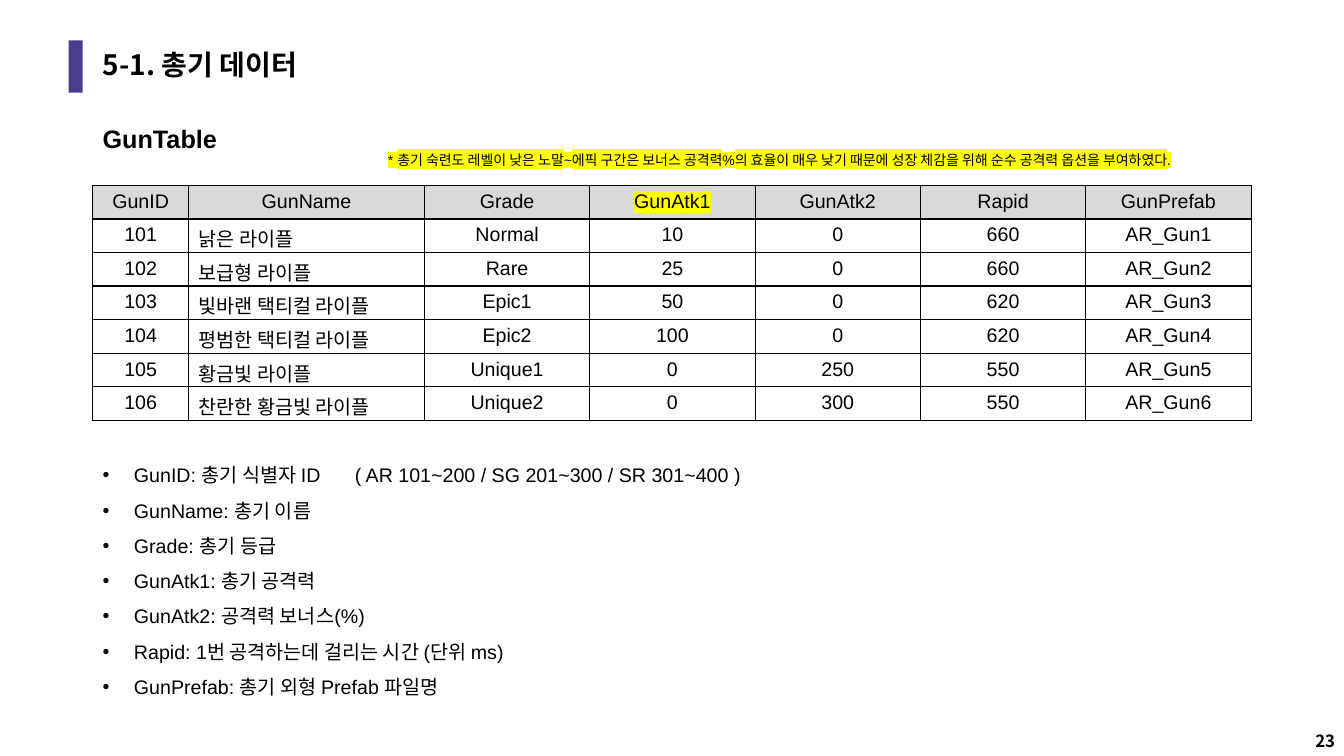
import pptx
import pptx.dml.color
import pptx.enum.shapes
import pptx.enum.text
import pptx.oxml.ns
import pptx.util
from lxml import etree

Inches = pptx.util.Inches
Pt = pptx.util.Pt
RGBColor = pptx.dml.color.RGBColor
Align = pptx.enum.text.PP_ALIGN
Anchor = pptx.enum.text.MSO_ANCHOR
AutoSize = pptx.enum.text.MSO_AUTO_SIZE
qn = pptx.oxml.ns.qn

BLACK = RGBColor(0x00, 0x00, 0x00)
PURPLE = RGBColor(0x4B, 0x3C, 0x8F)
HEADER_GRAY = RGBColor(0xD9, 0xD9, 0xD9)
YELLOW = RGBColor(0xFF, 0xFF, 0x00)
LATIN_FONT = "Arial"
KOREAN_FONT = "Noto Sans CJK KR"

COLUMN_WIDTHS = [0.95, 2.34] + [1.64] * 5
NAME_COLUMN = 1
HEADERS = ["GunID", "GunName", "Grade", "GunAtk1", "GunAtk2", "Rapid", "GunPrefab"]
GUNS = [
    ["101", "낡은 라이플", "Normal", "10", "0", "660", "AR_Gun1"],
    ["102", "보급형 라이플", "Rare", "25", "0", "660", "AR_Gun2"],
    ["103", "빛바랜 택티컬 라이플", "Epic1", "50", "0", "620", "AR_Gun3"],
    ["104", "평범한 택티컬 라이플", "Epic2", "100", "0", "620", "AR_Gun4"],
    ["105", "황금빛 라이플", "Unique1", "0", "250", "550", "AR_Gun5"],
    ["106", "찬란한 황금빛 라이플", "Unique2", "0", "300", "550", "AR_Gun6"],
]
FIELD_NOTES = [
    "GunID: 총기 식별자 ID\t( AR 101~200 / SG 201~300 / SR 301~400 )",
    "GunName: 총기 이름",
    "Grade: 총기 등급",
    "GunAtk1: 총기 공격력",
    "GunAtk2: 공격력 보너스(%)",
    "Rapid: 1번 공격하는데 걸리는 시간 (단위 ms)",
    "GunPrefab: 총기 외형 Prefab 파일명",
]
BALANCE_NOTE = (
    "* 총기 숙련도 레벨이 낮은 노말~에픽 구간은 보너스 공격력%의 효율이 매우 낮기 때문에 "
    "성장 체감을 위해 순수 공격력 옵션을 부여하였다."
)


def format_text(text_frame, size, font=LATIN_FONT, bold=False, align=Align.LEFT, highlight=None):
    for paragraph in text_frame.paragraphs:
        paragraph.alignment = align
        for run in paragraph.runs:
            run.font.size = Pt(size)
            run.font.bold = bold
            run.font.color.rgb = BLACK
            run.font.name = font
            latin = run.font._element.find(qn("a:latin"))
            east_asian = etree.Element(qn("a:ea"), typeface=KOREAN_FONT)
            latin.addnext(east_asian)
            if highlight is not None:
                mark = etree.Element(qn("a:highlight"))
                etree.SubElement(mark, qn("a:srgbClr"), val=str(highlight))
                latin.addprevious(mark)


def add_text(slide, box, lines, size, anchor=Anchor.TOP, **style):
    shape = slide.shapes.add_textbox(*map(Inches, box))
    text_frame = shape.text_frame
    text_frame.word_wrap = False
    text_frame.vertical_anchor = anchor
    text_frame.text = "\n".join(lines)
    format_text(text_frame, size, **style)
    return text_frame


def add_title(slide, text):
    title = slide.shapes.title
    title.left, title.top = Inches(0.92), Inches(0.4)
    title.width, title.height = Inches(11.5), Inches(0.52)
    text_frame = title.text_frame
    text_frame.text = text
    text_frame.vertical_anchor = Anchor.MIDDLE
    text_frame.auto_size = AutoSize.TEXT_TO_FIT_SHAPE
    text_frame.paragraphs[0].line_spacing = 0.9
    format_text(text_frame, 20, font=KOREAN_FONT, bold=True)


def add_accent_bar(slide):
    bar = slide.shapes.add_shape(
        pptx.enum.shapes.MSO_SHAPE.RECTANGLE, Inches(0.68), Inches(0.4), Inches(0.14), Inches(0.52)
    )
    bar.shadow.inherit = False
    bar.fill.solid()
    bar.fill.fore_color.rgb = PURPLE
    bar.line.fill.background()


def add_borders(cell):
    properties = cell._tc.get_or_add_tcPr()
    for position, side in enumerate(("a:lnL", "a:lnR", "a:lnT", "a:lnB")):
        line = etree.Element(qn(side), w=str(Pt(1)))
        fill = etree.SubElement(line, qn("a:solidFill"))
        etree.SubElement(fill, qn("a:srgbClr"), val=str(BLACK))
        properties.insert(position, line)


def fill_cell(cell, text, is_header, align, highlight):
    cell.text = text
    cell.margin_top = Inches(0.05)
    cell.margin_bottom = 0
    if is_header:
        cell.fill.solid()
        cell.fill.fore_color.rgb = HEADER_GRAY
    else:
        cell.fill.background()
    format_text(cell.text_frame, 14, align=align, highlight=highlight)
    add_borders(cell)


def add_gun_table(slide):
    rows = [HEADERS] + GUNS
    height = Inches(2.33)
    table = slide.shapes.add_table(
        len(rows), len(HEADERS), Inches(0.92), Inches(1.84), Inches(sum(COLUMN_WIDTHS)), height
    ).table
    table.horz_banding = False
    for column, width in zip(table.columns, COLUMN_WIDTHS):
        column.width = Inches(width)
    for row_index, values in enumerate(rows):
        table.rows[row_index].height = height // len(rows)
        is_header = row_index == 0
        for column_index, text in enumerate(values):
            is_name = column_index == NAME_COLUMN and not is_header
            align = Align.LEFT if is_name else Align.CENTER
            highlight = YELLOW if text == "GunAtk1" else None
            fill_cell(table.cell(row_index, column_index), text, is_header, align, highlight)


def add_bullets(text_frame):
    indent = Inches(0.31)
    for paragraph in text_frame.paragraphs:
        paragraph.line_spacing = 1.5
        properties = paragraph._p.get_or_add_pPr()
        properties.set("marL", str(indent))
        properties.set("indent", str(-indent))
        etree.SubElement(properties, qn("a:buFont"), typeface=LATIN_FONT)
        etree.SubElement(properties, qn("a:buChar"), char="•")


def main():
    presentation = pptx.Presentation()
    presentation.slide_width = Inches(13.33)
    presentation.slide_height = Inches(7.5)
    slide = presentation.slides.add_slide(presentation.slide_layouts[5])
    add_text(slide, (12.42, 7.1, 0.92, 0.4), ["23"], 12, anchor=Anchor.BOTTOM,
             font=KOREAN_FONT, bold=True, align=Align.RIGHT)
    add_accent_bar(slide)
    add_title(slide, "5-1. 총기 데이터")
    add_text(slide, (0.92, 1.17, 1.37, 0.4), ["GunTable"], 18, bold=True)
    add_gun_table(slide)
    add_bullets(add_text(slide, (0.92, 4.43, 7.09, 2.53), FIELD_NOTES, 14))
    add_text(slide, (3.75, 1.45, 8.77, 0.27), [BALANCE_NOTE], 10, highlight=YELLOW)
    presentation.save("out.pptx")


if __name__ == "__main__":
    main()
